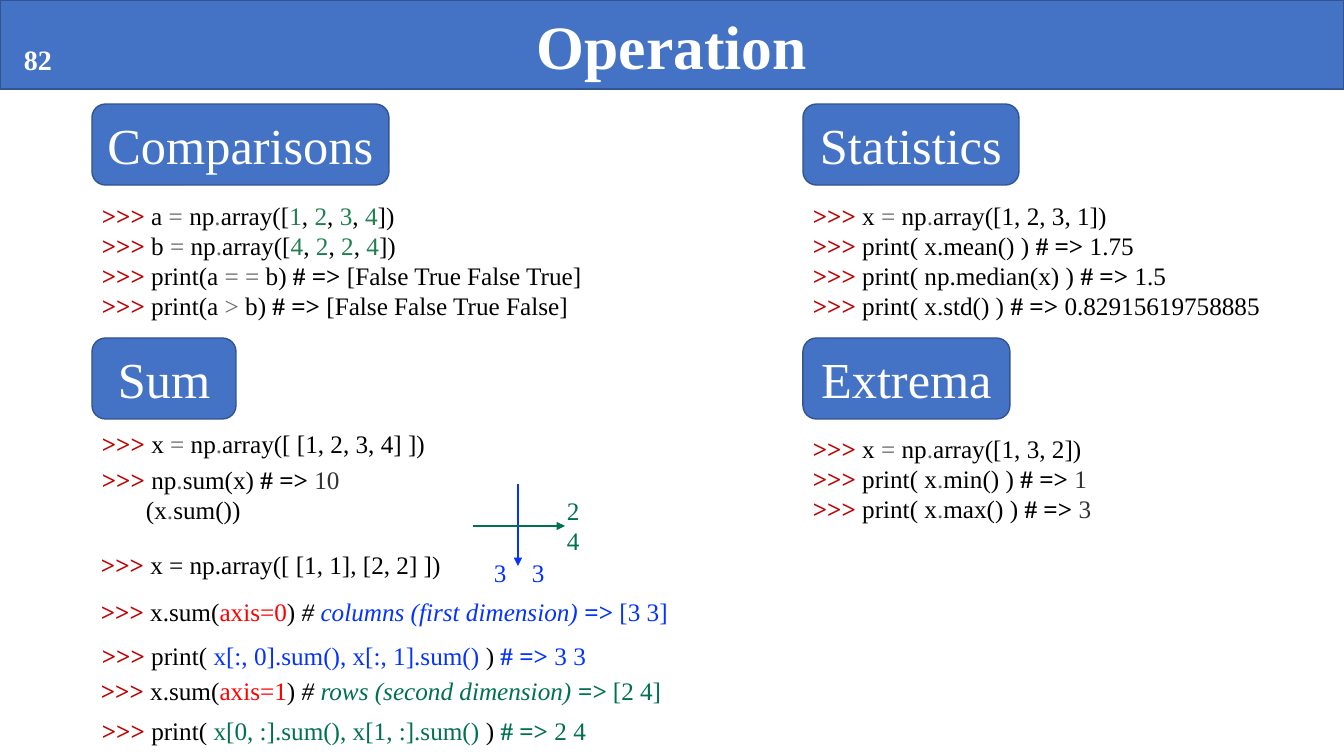
import lxml.etree
import pptx
import pptx.dml.color
import pptx.enum.shapes
import pptx.enum.text
import pptx.oxml.ns
import pptx.util
from dataclasses import dataclass, field


@dataclass(frozen=True)
class Theme:
    """Colours, type sizes and text styles of the slide."""
    font: str = "Times New Roman"
    fill: str = "4472C4"
    outline: str = "325491"
    column: str = "0432FF"
    row: str = "007150"
    code_size: int = 18
    number_size: int = 20
    heading_size: int = 36
    title_size: int = 44
    styles: dict = field(default_factory=lambda: {
        "prompt": {"color": "C00000", "bold": True},
        "plain": {"color": "000000"},
        "strong": {"color": "000000", "bold": True},
        "hash": {"color": "000000", "italic": True},
        "operator": {"color": "666666"},
        "number": {"color": "208050"},
        "output": {"color": "333333"},
        "axis": {"color": "FF0000"},
        "column": {"color": "0432FF"},
        "column strong": {"color": "0432FF", "bold": True},
        "column note": {"color": "0432FF", "italic": True},
        "row": {"color": "007150"},
        "row strong": {"color": "007150", "bold": True, "italic": True},
        "row result": {"color": "007150", "bold": True},
        "row note": {"color": "007150", "italic": True},
        "heading": {"color": "FFFFFF"},
        "title": {"color": "FFFFFF", "bold": True},
    })


THEME = Theme()
EMU_PER_PX = 12192000 / 1344
PROMPT = (">>> ", "prompt")


def px(length):
    """Turn a length in px into EMU."""
    return pptx.util.Emu(round(length * EMU_PER_PX))


def place(box):
    """Turn a px box into EMU values."""
    return [px(length) for length in box]


def rgb(value):
    """Return a colour from its hex value."""
    return pptx.dml.color.RGBColor.from_string(value)


def apply(target, values):
    """Set attributes from a dict of format values."""
    for name, value in values.items():
        setattr(target, name, value)


def write(frame, lines, size, alignment=None):
    """Fill a text frame with lines of styled runs."""
    for index, line in enumerate(lines):
        paragraph = frame.paragraphs[0] if index == 0 else frame.add_paragraph()
        paragraph.alignment = alignment
        for text, style in line:
            run = paragraph.add_run()
            run.text = text
            values = dict(THEME.styles[style])
            run.font.color.rgb = rgb(values.pop("color"))
            apply(run.font, {"name": THEME.font, "size": pptx.util.Pt(size), **values})


def paint(shape):
    """Give a shape the blue fill and thin outline."""
    shape.fill.solid()
    shape.fill.fore_color.rgb = rgb(THEME.fill)
    shape.line.color.rgb = rgb(THEME.outline)
    shape.line.width = pptx.util.Pt(1)


def add_title(slide, text):
    """Turn the title placeholder into the banner."""
    title = slide.shapes.title
    apply(title, dict(zip(("left", "top", "width", "height"), place((0, 0, 1344, 89)))))
    paint(title)
    apply(title.text_frame, {
        "auto_size": pptx.enum.text.MSO_AUTO_SIZE.NONE,
        "vertical_anchor": pptx.enum.text.MSO_ANCHOR.MIDDLE})
    write(title.text_frame, [[(text, "title")]], THEME.title_size,
          pptx.enum.text.PP_ALIGN.CENTER)


def add_heading(slide, text, left, top, width):
    """Add a rounded section heading."""
    shape = slide.shapes.add_shape(
        pptx.enum.shapes.MSO_SHAPE.ROUNDED_RECTANGLE, *place((left, top, width, 81)))
    shape.shadow.inherit = False
    paint(shape)
    apply(shape.text_frame, {
        "word_wrap": True, "vertical_anchor": pptx.enum.text.MSO_ANCHOR.MIDDLE})
    write(shape.text_frame, [[(text, "heading")]], THEME.heading_size,
          pptx.enum.text.PP_ALIGN.CENTER)


def add_text(slide, box, lines, size=THEME.code_size, wraps=False):
    """Add a text box and return its frame."""
    frame = slide.shapes.add_textbox(*place(box)).text_frame
    apply(frame, {"word_wrap": wraps,
                  "auto_size": pptx.enum.text.MSO_AUTO_SIZE.SHAPE_TO_FIT_TEXT})
    write(frame, lines, size)
    return frame


def add_tab_stop(paragraph, position):
    """Add a left tab stop to a paragraph."""
    stops = lxml.etree.SubElement(
        paragraph._p.get_or_add_pPr(), pptx.oxml.ns.qn("a:tabLst"))
    lxml.etree.SubElement(
        stops, pptx.oxml.ns.qn("a:tab"), pos=str(px(position)), algn="l")


def add_arrow(slide, ends, color):
    """Add a straight arrow between two points."""
    arrow = slide.shapes.add_connector(
        pptx.enum.shapes.MSO_CONNECTOR.STRAIGHT, *place(ends))
    arrow.line.color.rgb = rgb(color)
    arrow.line.width = pptx.util.Pt(2)
    lxml.etree.SubElement(
        arrow.line._get_or_add_ln(), pptx.oxml.ns.qn("a:tailEnd"), type="triangle")
    lxml.etree.SubElement(arrow._element.spPr, pptx.oxml.ns.qn("a:effectLst"))


def assign(name, *values):
    """Return the runs that assign an array to a name."""
    return [PROMPT, (f"{name} ", "plain"), ("= ", "operator"), ("np", "plain"),
            (".", "operator"), ("array([", "plain"), *values, ("])", "plain")]


def digits(text):
    """Return coloured digits with plain commas between them."""
    runs = [run for digit in text for run in ((", ", "plain"), (digit, "number"))]
    return runs[1:]


def compare(operator, result):
    """Return the runs of a printed comparison."""
    return [PROMPT, ("print(a ", "plain"), (operator, "operator"), (" b) ", "plain"),
            ("# => ", "strong"), (result, "plain")]


def statistic(call, result):
    """Return the runs of a printed statistic."""
    return [PROMPT, (f"print( {call} ) ", "plain"), ("# => ", "strong"),
            (result, "plain")]


def extreme(call, result):
    """Return the runs of a printed extreme value."""
    return [PROMPT, ("print( x", "plain"), (".", "operator"), (f"{call} ) ", "plain"),
            ("# => ", "strong"), (result, "output")]


def axis_sum(axis, note, arrow_style, result, style):
    """Return the runs of a sum along one axis."""
    return [PROMPT, ("x.sum(", "plain"), (f"axis={axis}", "axis"), (") ", "plain"),
            ("# ", "hash"), (f"{note} ", f"{style} note"), ("=>", arrow_style),
            (f" {result}", style)]


def axis_print(sums, arrow_style, result, style):
    """Return the runs that print the sums along one axis."""
    return [PROMPT, ("print( ", "plain"), (f"{sums} ", style), (") ", "plain"),
            ("# =>", arrow_style), (f" {result}", style)]


def main():
    """Build the slide and save it."""
    presentation = pptx.Presentation()
    apply(presentation, {"slide_width": px(1344), "slide_height": px(756)})
    slide = presentation.slides.add_slide(presentation.slide_layouts[5])
    add_title(slide, "Operation")
    add_text(slide, (14, 38, 48, 44), [[("82", "title")]], THEME.number_size)

    for heading in (("Comparisons", 92, 104, 297), ("Sum", 92, 338, 144),
                    ("Statistics", 803, 104, 216), ("Extrema", 803, 338, 207)):
        add_heading(slide, *heading)

    add_text(slide, (92, 195, 516, 132), [
        assign("a", *digits("1234")), assign("b", *digits("4224")),
        compare("= =", "[False True False True]"),
        compare(">", "[False False True False]")], wraps=True)
    add_text(slide, (803, 195, 472, 132), [
        assign("x", ("1, 2, 3, 1", "plain")), statistic("x.mean()", "1.75"),
        statistic("np.median(x)", "1.5"), statistic("x.std()", "0.82915619758885")])
    add_text(slide, (803, 428, 304, 102), [
        assign("x", ("1, 3, 2", "plain")), extreme("min()", "1"),
        extreme("max()", "3")], wraps=True)

    add_text(slide, (92, 423, 353, 40), [assign("x", (" [1, 2, 3, 4] ", "plain"))])
    add_text(slide, (92, 459, 263, 72), [
        [PROMPT, ("np", "plain"), (".", "operator"), ("sum(x) ", "plain"),
         ("# => ", "strong"), ("10", "output")],
        [("       (x", "plain"), (".", "operator"), ("sum())", "plain")]], wraps=True)
    for left, top, width, line in (
            (91, 544, 370, [PROMPT, ("x = np.array([ [1, 1], [2, 2] ])", "plain")]),
            (91, 591, 599, axis_sum(0, "columns (first dimension)", "column strong",
                                    "[3 3]", "column")),
            (92, 635, 507, axis_print("x[:, 0].sum(), x[:, 1].sum()", "column strong",
                                      "3 3", "column")),
            (91, 670, 594, axis_sum(1, "rows (second dimension)", "row strong",
                                    "[2 4]", "row")),
            (92, 710, 513, axis_print("x[0, :].sum(), x[1, :].sum()", "row result",
                                      "2 4", "row"))):
        add_text(slide, (left, top, width, 40), [line])

    add_arrow(slide, (518, 484, 518, 566), THEME.column)
    add_arrow(slide, (473, 526, 565, 526), THEME.row)
    column_sums = add_text(slide, (484, 552, 78, 40), [[("3\t3", "column")]], wraps=True)
    add_tab_stop(column_sums.paragraphs[0], 38)
    add_text(slide, (557, 490, 33, 72), [[("2", "row")], [("4", "row")]])
    presentation.save("out.pptx")


if __name__ == "__main__":
    main()
